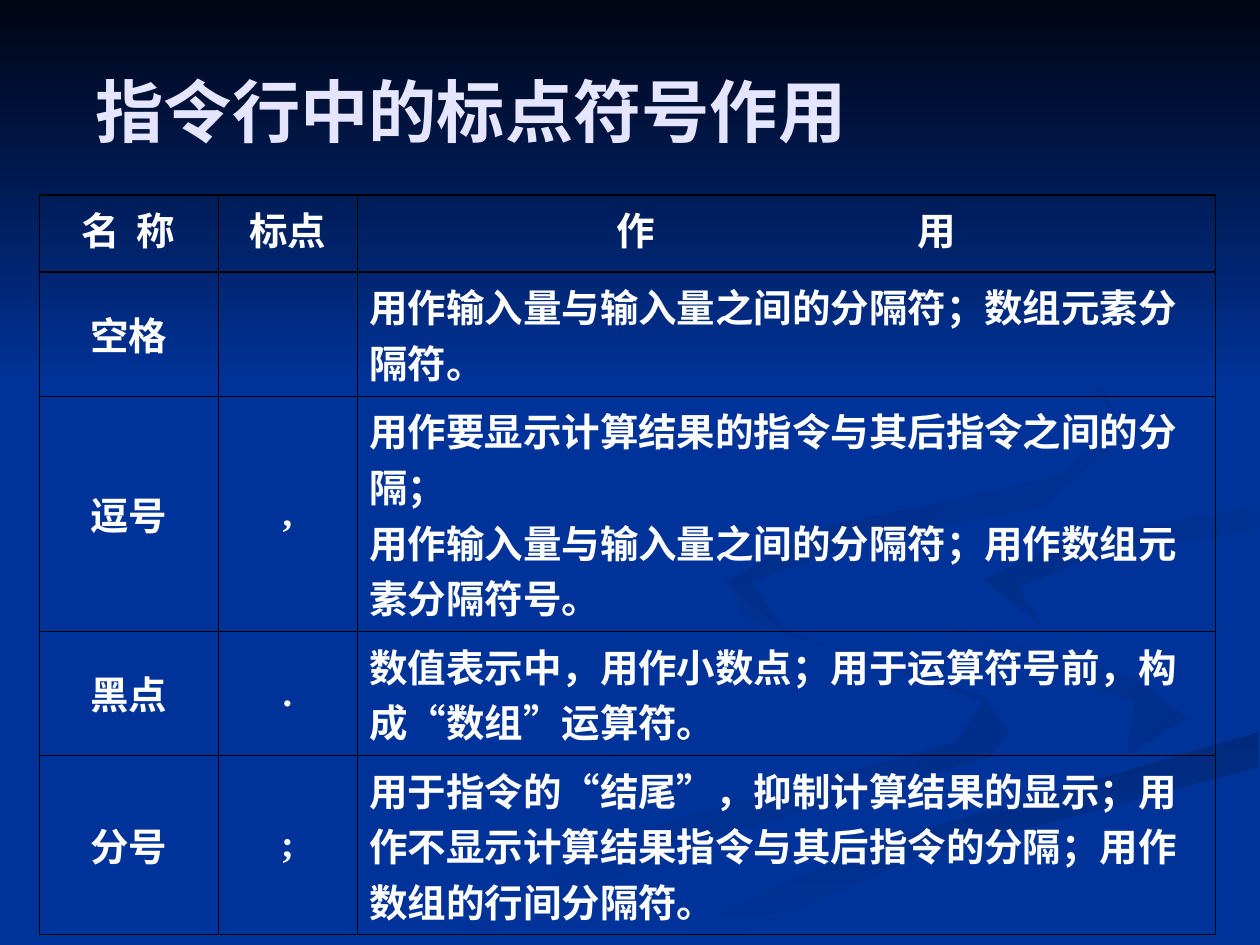
from lxml import etree
from pptx import Presentation
from pptx.dml.color import RGBColor
from pptx.enum.text import MSO_ANCHOR, PP_ALIGN
from pptx.oxml.ns import qn
from pptx.util import Pt

PX = 914400 / 126
WIDTH, HEIGHT = 1260, 945
LEFT, CENTER = PP_ALIGN.LEFT, PP_ALIGN.CENTER
TOP, MIDDLE = MSO_ANCHOR.TOP, MSO_ANCHOR.MIDDLE
BLUE = "003399"
THIN, THICK = 0.45, 0.96

BACKDROPS = [
    ((BLUE, "002E8B"), 0, [
        (984, 697), (789, 633), (725, 578), (747, 619), (984, 701), (956, 743),
        (679, 818), (378, 944), (455, 944), (711, 838), (990, 757), (1008, 732)]),
    ((BLUE, "002E8B"), 45, [
        (1188, 718), (1140, 680), (955, 627), (912, 585), (965, 645),
        (1134, 702), (1126, 762)]),
    (("002A7D", BLUE), 90, [
        (634, 944), (719, 944), (910, 859), (1258, 767), (1258, 732),
        (1004, 804), (794, 873)]),
    ((BLUE, BLUE), 0, [
        (913, 585), (955, 627), (1140, 680), (1188, 718), (1110, 766),
        (835, 842), (601, 944), (654, 941), (877, 843), (1259, 732),
        (1259, 678), (1068, 634), (984, 583), (1052, 542), (1259, 507),
        (1259, 488), (993, 532)]),
    (("002D86", BLUE), 45, [
        (984, 580), (1041, 625), (1018, 587), (1106, 553), (1258, 529),
        (1258, 507), (1070, 538)]),
    (("002B82", BLUE), 45, [
        (861, 542), (1040, 507), (1126, 433), (1089, 367), (960, 294),
        (1066, 352), (1120, 422), (1061, 476), (818, 529), (727, 582),
        (784, 630), (751, 581)]),
    (("000514", BLUE), 90, [(0, 0), (0, 388), (WIDTH, 388), (WIDTH, 0)]),
]

COLUMN_WIDTHS = [179, 139, 858]
ROW_HEIGHTS = [77, 117, 198, 117, 170]
ROWS = [
    ["名\t称", "标点", "作\t用"],
    ["空格", "", "用作输入量与输入量之间的分隔符；数组元素分隔符。"],
    ["逗号", ",", "用作要显示计算结果的指令与其后指令之间的分隔；\n"
                 "用作输入量与输入量之间的分隔符；用作数组元素分隔符号。"],
    ["黑点", ".", "数值表示中，用作小数点；用于运算符号前，构成“数组”运算符。"],
    ["分号", ";", "用于指令的“结尾”，抑制计算结果的显示；"
                 "用作不显示计算结果指令与其后指令的分隔；用作数组的行间分隔符。"],
]
SPREAD_HEADINGS = {0: (43, 55), 2: (260, 301)}


def px(length):
    return round(length * PX)


def color(value):
    return RGBColor.from_string(value)


def write_text(frame, text, size=22, font="Times New Roman", fill="FFFFFF",
               align=LEFT, tab=None):
    frame.word_wrap = True
    for index, line in enumerate(text.split("\n")):
        para = frame.add_paragraph() if index else frame.paragraphs[0]
        para.alignment = align
        if tab:
            stops = etree.SubElement(para._p.get_or_add_pPr(), qn("a:tabLst"))
            etree.SubElement(stops, qn("a:tab"), pos=str(px(tab)), algn="l")
        span = para.add_run()
        span.text = line
        span.font.size = Pt(size)
        span.font.name = font
        span.font.bold = True
        span.font.color.rgb = color(fill)


def add_backdrop(slide, colors, angle, points):
    builder = slide.shapes.build_freeform(*points[0], scale=PX)
    builder.add_line_segments(points[1:], close=True)
    shape = builder.convert_to_shape()
    shape.shadow.inherit = False
    shape.line.fill.background()
    shape.fill.gradient()
    shape.fill.gradient_angle = (360 - angle) % 360
    for position, stop in enumerate(shape.fill.gradient_stops):
        stop.color.rgb = color(colors[position])
        stop.position = position


def set_borders(cell, **widths):
    properties = cell._tc.get_or_add_tcPr()
    for side, width in widths.items():
        line = etree.SubElement(properties, qn(f"a:ln{side}"), w=str(Pt(width)))
        solid = etree.SubElement(line, qn("a:solidFill"))
        etree.SubElement(solid, qn("a:srgbClr"), val="000000")


def add_punctuation_table(slide):
    table = slide.shapes.add_table(
        len(ROWS), len(COLUMN_WIDTHS), px(39), px(195),
        px(sum(COLUMN_WIDTHS)), px(sum(ROW_HEIGHTS))).table
    table.first_row = table.horz_banding = False
    for column, width in zip(table.columns, COLUMN_WIDTHS):
        column.width = px(width)
    for row, height in zip(table.rows, ROW_HEIGHTS):
        row.height = px(height)
    for i, texts in enumerate(ROWS):
        for j, text in enumerate(texts):
            cell = table.cell(i, j)
            set_borders(cell, L=THIN, R=THIN, T=THICK if i < 2 else THIN,
                        B=THICK if i == 0 else THIN)
            cell.fill.background()
            cell.vertical_anchor = MIDDLE if i and j < 2 else TOP
            if i == 0 and j in SPREAD_HEADINGS:
                margin, tab = SPREAD_HEADINGS[j]
                cell.margin_left = px(margin)
                write_text(cell.text_frame, text, tab=tab)
            elif text:
                centered = i == 0 or j < 2
                write_text(cell.text_frame, text, align=CENTER if centered else LEFT)


def add_title(slide, text):
    title = slide.shapes.title
    title.left, title.top, title.width, title.height = map(px, (83, 63, 1133, 94))
    title.text_frame.vertical_anchor = MIDDLE
    write_text(title.text_frame, text, size=39, font="Arial", fill="E5E5FF")
    title.element.getparent().append(title.element)


def main():
    deck = Presentation()
    deck.slide_width, deck.slide_height = px(WIDTH), px(HEIGHT)
    slide = deck.slides.add_slide(deck.slide_layouts[5])
    slide.background.fill.solid()
    slide.background.fill.fore_color.rgb = color(BLUE)
    for colors, angle, points in BACKDROPS:
        add_backdrop(slide, colors, angle, points)
    add_punctuation_table(slide)
    add_title(slide, "指令行中的标点符号作用")
    deck.save("out.pptx")


if __name__ == "__main__":
    main()
